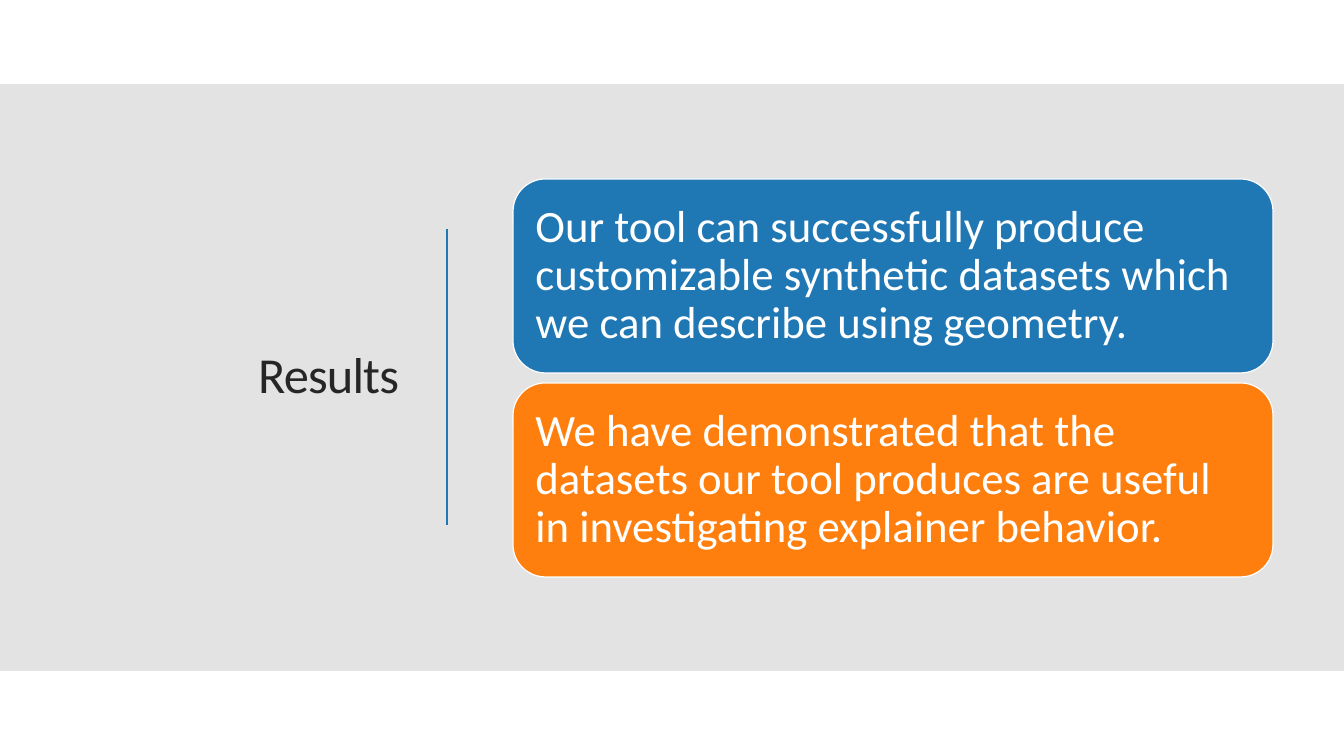
import pptx
import pptx.util
import pptx.dml.color
import pptx.enum.shapes
import pptx.enum.text
import pptx.oxml.ns
import lxml.etree
import dataclasses

SCALE = 914400 / 100.8  # EMU per pixel


@dataclasses.dataclass(frozen=True)
class Theme:
    font: str = "Calibri"
    head: int = 36
    body: int = 32
    ink: str = "262626"
    white: str = "FFFFFF"
    gray: str = "C8C8C8"
    blue: str = "1F77B4"
    orange: str = "FF7F0E"


theme = Theme()
kinds = pptx.enum.shapes.MSO_SHAPE


def px(*nums):
    return [pptx.util.Emu(round(n * SCALE)) for n in nums]


def rgb(code):
    return pptx.dml.color.RGBColor.from_string(code)


def tag(parent, name, **attrs):
    return lxml.etree.SubElement(parent, pptx.oxml.ns.qn(name), attrs)


def block(slide, kind, box, fill):
    shape = slide.shapes.add_shape(kind, *px(*box))
    shape.shadow.inherit = False
    shape.fill.solid()
    shape.fill.fore_color.rgb = rgb(fill)
    shape.line.fill.background()
    return shape


def write(shape, text, size, color, align, pad):
    frame = shape.text_frame
    frame.text = text
    frame.word_wrap = True
    frame.vertical_anchor = pptx.enum.text.MSO_ANCHOR.MIDDLE
    frame.margin_left, frame.margin_top, frame.margin_right, frame.margin_bottom = px(*[pad] * 4)
    para = frame.paragraphs[0]
    para.alignment = align
    para.line_spacing = 0.9
    font = para.runs[0].font
    font.name, font.size = theme.font, pptx.util.Pt(size)
    font.color.rgb = rgb(color)
    return para.runs[0]


# Half-transparent band across the slide
def band(slide, box):
    shape = block(slide, kinds.RECTANGLE, box, theme.gray)
    color = shape.fill._xPr.find(".//" + pptx.oxml.ns.qn("a:srgbClr"))
    tag(color, "a:alpha", val="50000")


# Title with the rule to its right
def title(slide, box, text):
    x, y, w, h = box
    label = slide.shapes.add_textbox(*px(x, y, w, h))
    run = write(label, text, theme.head, theme.ink, pptx.enum.text.PP_ALIGN.RIGHT, 10)
    run.font._element.set("spc", "-60")
    side, mid, half = x + w + 38, y + h // 2, 148
    rule = slide.shapes.add_connector(
        pptx.enum.shapes.MSO_CONNECTOR.STRAIGHT,
        *px(side, mid - half, side, mid + half))
    rule.line.color.rgb = rgb(theme.blue)
    rule.line.width = pptx.util.Pt(1)
    tag(rule._element.spPr, "a:effectLst")


# Stack of equal cards filling the box
def cards(slide, box, items, gap=10):
    x, y, w, h = box
    tall = (h - gap * (len(items) - 1)) // len(items)
    for i, (text, fill) in enumerate(items):
        card = block(slide, kinds.ROUNDED_RECTANGLE,
                     (x, y + i * (tall + gap), w, tall), fill)
        card.line.color.rgb = rgb(theme.white)
        card.line.width = pptx.util.Pt(0.85)
        write(card, text, theme.body, theme.white, pptx.enum.text.PP_ALIGN.LEFT, 13)


def results(slide, box):
    x, y, w, h = box
    band(slide, (x, y + 84, w, 587))
    title(slide, (x + 71, y + 124, 338, 507), "Results")
    cards(slide, (x + 513, y + 179, 760, 398), [
        ("Our tool can successfully produce customizable synthetic datasets "
         "which we can describe using geometry.", theme.blue),
        ("We have demonstrated that the datasets our tool produces are useful "
         "in investigating explainer behavior.", theme.orange),
    ])


deck = pptx.Presentation()
deck.slide_width, deck.slide_height = px(1344, 756)
page = deck.slides.add_slide(deck.slide_layouts[6])
results(page, (0, 0, 1344, 756))
deck.save("out.pptx")
